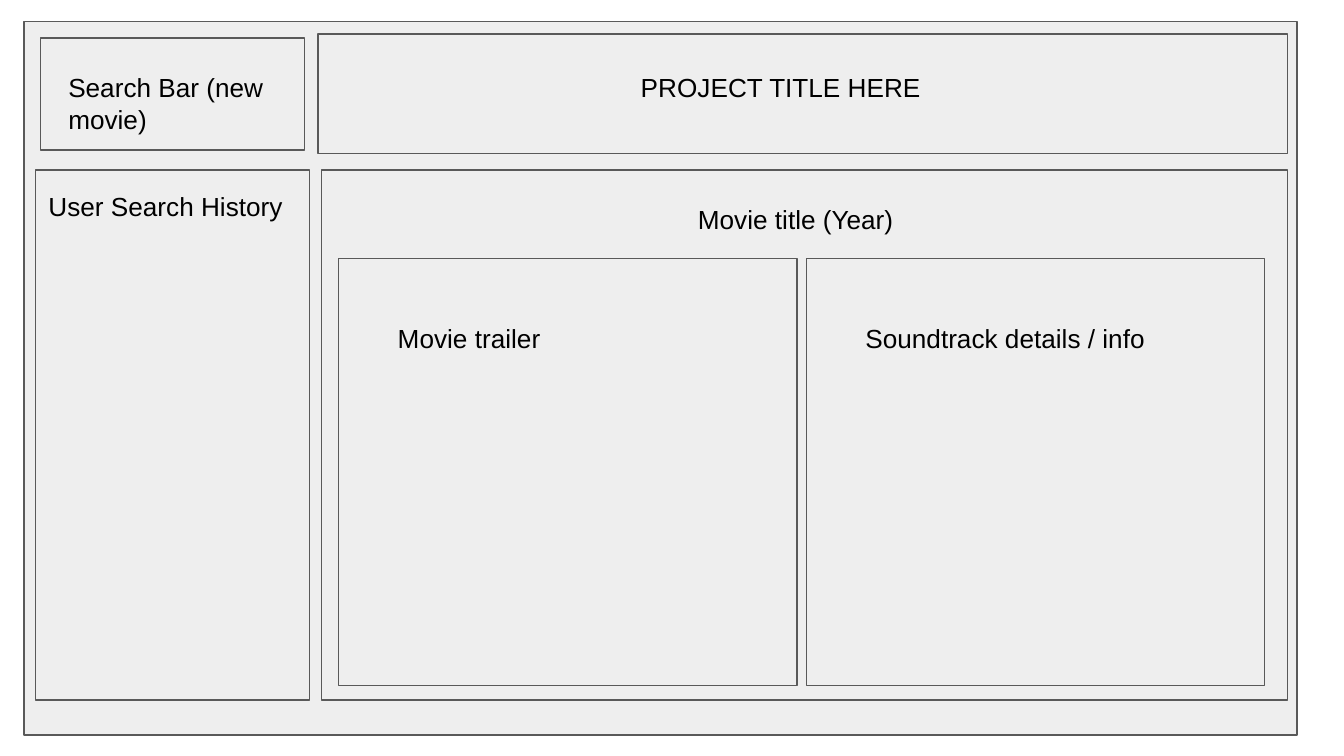
from dataclasses import dataclass

import pptx
import pptx.dml.color
import pptx.enum.shapes
import pptx.enum.text
import pptx.util

Pt = pptx.util.Pt
PANEL_FILL = pptx.dml.color.RGBColor(0xEE, 0xEE, 0xEE)
PANEL_LINE = pptx.dml.color.RGBColor(0x59, 0x59, 0x59)
TEXT_COLOR = pptx.dml.color.RGBColor(0x00, 0x00, 0x00)
LEFT = pptx.enum.text.PP_ALIGN.LEFT
CENTER = pptx.enum.text.PP_ALIGN.CENTER


@dataclass
class Box:
    left: float
    top: float
    width: float
    height: float

    def lengths(self) -> tuple:
        return Pt(self.left), Pt(self.top), Pt(self.width), Pt(self.height)


@dataclass
class Label:
    text: str
    box: Box
    alignment: int = LEFT


@dataclass
class Panel:
    box: Box
    label: Label | None = None
    is_title: bool = False
    grouped: bool = False


def draw_panel(shapes, box: Box) -> None:
    shape = shapes.add_shape(pptx.enum.shapes.MSO_SHAPE.RECTANGLE, *box.lengths())
    shape.shadow.inherit = False
    shape.fill.solid()
    shape.fill.fore_color.rgb = PANEL_FILL
    shape.line.color.rgb = PANEL_LINE
    shape.line.width = Pt(0.75)


def write_label(shape, label: Label) -> None:
    shape.left, shape.top, shape.width, shape.height = label.box.lengths()
    frame = shape.text_frame
    frame.word_wrap = True
    frame.auto_size = pptx.enum.text.MSO_AUTO_SIZE.SHAPE_TO_FIT_TEXT
    frame.vertical_anchor = pptx.enum.text.MSO_ANCHOR.TOP
    frame.margin_left = frame.margin_right = Pt(7.2)
    frame.margin_top = frame.margin_bottom = Pt(7.2)
    paragraph = frame.paragraphs[0]
    paragraph.alignment = label.alignment
    run = paragraph.add_run()
    run.text = label.text
    run.font.name = "Arial"
    run.font.size = Pt(14)
    run.font.color.rgb = TEXT_COLOR


def draw(slide, panel: Panel) -> None:
    shapes = slide.shapes.add_group_shape().shapes if panel.grouped else slide.shapes
    draw_panel(shapes, panel.box)
    if panel.label is None:
        return
    if panel.is_title:
        shape = slide.shapes.title
        # Bring the title in front of its panel
        slide.shapes.element.append(shape.element)
    else:
        shape = shapes.add_textbox(*panel.label.box.lengths())
    write_label(shape, panel.label)


def detail_panel(column: int, text: str, grouped: bool) -> Panel:
    left = 181.5 + column * 250.5
    label = Label(text, Box(left + 24.5, 165.6, 202.3, 31.7))
    return Panel(Box(left, 138.5, 245.5, 228.8), label, grouped=grouped)


presentation = pptx.Presentation()
presentation.slide_width = Pt(720)
presentation.slide_height = Pt(405)
slide = presentation.slides.add_slide(presentation.slide_layouts[5])

# Wireframe, from back to front
PANELS = [
    Panel(Box(12.8, 11.5, 682, 382.3)),
    Panel(Box(18.9, 91.2, 146.9, 283.8),
          Label("User Search History", Box(18.9, 95, 146.9, 31.7)), grouped=True),
    Panel(Box(170.4, 18.2, 519.3, 64.2),
          Label("PROJECT TITLE HERE", Box(216, 31.2, 404.6, 31.7), CENTER), is_title=True),
    Panel(Box(172.2, 91.2, 517.5, 283.8),
          Label("Movie title (Year)", Box(181.5, 101.5, 489.6, 31.7), CENTER)),
    Panel(Box(21.8, 20.3, 141.2, 60),
          Label("Search Bar (new movie)", Box(29.5, 31.2, 120.2, 48.2))),
    detail_panel(1, "Soundtrack details / info", grouped=False),
    detail_panel(0, "Movie trailer", grouped=True),
]
for panel in PANELS:
    draw(slide, panel)

presentation.save("out.pptx")
